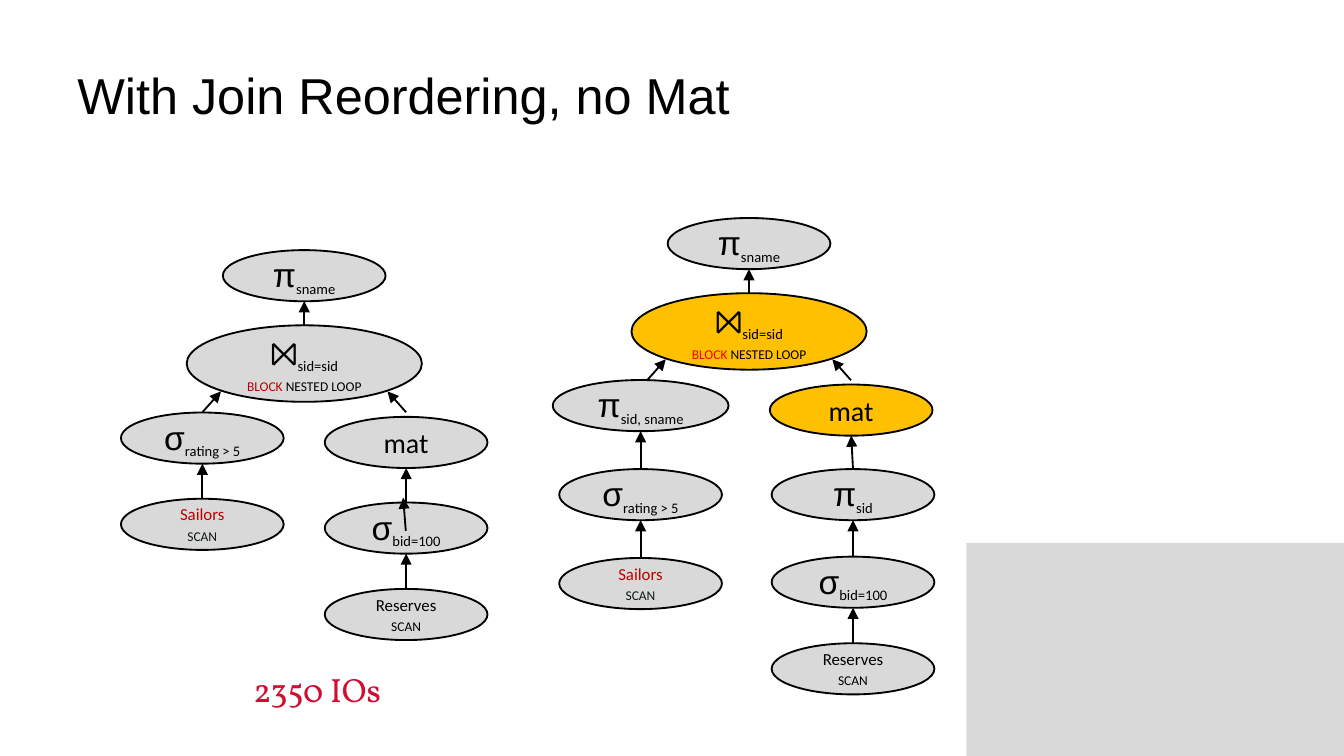
from dataclasses import dataclass
from typing import NamedTuple, Optional

from lxml.etree import SubElement
from pptx import Presentation
from pptx.dml.color import RGBColor as RGB
from pptx.enum.shapes import MSO_CONNECTOR as LINK, MSO_SHAPE as FORM
from pptx.enum.text import MSO_ANCHOR as ANCHOR, PP_ALIGN as ALIGN
from pptx.oxml.ns import qn
from pptx.util import Pt


@dataclass(frozen=True)
class Theme:
    ink: str = "000000"
    dark: str = "0E1817"
    gray: str = "D9D9D9"
    gold: str = "FFC000"
    red: str = "C00000"
    hot: str = "FF0000"
    cost: str = "CF0E30"
    sans: str = "Arial"
    body: str = "Calibri"
    serif: str = "Vollkorn"
    head: float = 27
    big: float = 18
    mid: float = 15
    sub: float = 13.5
    small: float = 9


T = Theme()


class Run(NamedTuple):
    text: str
    size: float
    face: str = T.body
    color: str = T.ink
    base: int = 0
    caps: bool = False


BREAK = Run("\n", T.small)
Paras = list[list[Run]]


@dataclass(frozen=True)
class Node:
    """An operator: centre x and top y, with the index of the node it feeds."""
    x: float
    y: float
    paras: Paras
    up: Optional[int] = None
    fill: str = T.gray
    wide: float = 87.2
    high: float = 27.4


def sign(mark: str, note: str) -> list[Run]:
    return [Run(mark, T.big, T.sans), Run(note, T.sub, base=-25000)]


def op(mark: str, note: str) -> Paras:
    return [sign(mark, note)]


def scan(name: str, color: str = T.ink, tint: str = T.ink) -> Paras:
    return [[Run(name, T.small, color=color)],
            [Run("scan", T.small, color=tint, caps=True)]]


def join(x: float, y: float, color: str, fill: str) -> Node:
    text = sign("⨝", "sid=sid") + [
        BREAK,
        Run("block", T.small, color=color, caps=True),
        Run(" nested loop", T.small, caps=True)]
    return Node(x, y, [text], 0, fill, 126, 41)


MAT: Paras = [[Run("mat", T.mid)]]
SAILORS = scan("Sailors", T.red, T.dark)
RESERVES = scan("Reserves")

# In each tree, node 0 is the root and node 1 the join.
TREES = [
    [Node(163, 134, op("π", "sname")),
     join(163, 174.3, T.red, T.gray),
     Node(108.4, 221, op("σ", "rating > 5"), 1),
     Node(108.4, 267.2, SAILORS, 2),
     Node(217.6, 223.3, MAT, 1),
     Node(217.6, 269.2, op("σ", "bid=100"), 4),
     Node(217.6, 315.5, RESERVES, 5)],
    [Node(401.3, 116.8, op("π", "sname")),
     join(401.3, 157.1, T.hot, T.gold),
     Node(343.2, 203.6, op("π", "sid, sname"), 1, wide=94.2),
     Node(343.2, 251.3, op("σ", "rating > 5"), 2),
     Node(343.2, 298.9, SAILORS, 3),
     Node(456, 206, MAT, 1, T.gold),
     Node(457, 251.3, op("π", "sid"), 5),
     Node(457, 298.2, op("σ", "bid=100"), 6),
     Node(457, 344.6, RESERVES, 7)],
]


def style(font, run: Run) -> None:
    font.size = Pt(run.size)
    font.name = run.face
    font.color.rgb = RGB.from_string(run.color)


def write(frame, paras: Paras, align=ALIGN.CENTER) -> None:
    frame.vertical_anchor = ANCHOR.MIDDLE
    for i, runs in enumerate(paras):
        para = frame.add_paragraph() if i else frame.paragraphs[0]
        para.alignment = align
        if len(runs) == 1:
            style(para.font, runs[0])
        for run in runs:
            if run is BREAK:
                para.add_line_break()
                continue
            item = para.add_run()
            item.text = run.text
            if len(runs) > 1:
                style(item.font, run)
            props = item._r.get_or_add_rPr()
            if run.base:
                props.set("baseline", str(run.base))
            if run.caps:
                props.set("cap", "small")


def inset(frame) -> None:
    frame.margin_left = frame.margin_right = Pt(5.4)
    frame.margin_top = frame.margin_bottom = Pt(2.7)


def shape(slide, form, x: float, y: float, wide: float, high: float, fill: str):
    item = slide.shapes.add_shape(form, Pt(x), Pt(y), Pt(wide), Pt(high))
    item.shadow.inherit = False
    item.fill.solid()
    item.fill.fore_color.rgb = RGB.from_string(fill)
    return item


def draw(slide, node: Node) -> None:
    oval = shape(slide, FORM.OVAL, node.x - node.wide / 2, node.y,
                 node.wide, node.high, node.fill)
    oval.line.color.rgb = RGB.from_string(T.ink)
    oval.line.width = Pt(1)
    oval.text_frame.word_wrap = True
    inset(oval.text_frame)
    write(oval.text_frame, node.paras)


def arrow(slide, x1: float, y1: float, x2: float, y2: float) -> None:
    line = slide.shapes.add_connector(
        LINK.STRAIGHT, Pt(x1), Pt(y1), Pt(x2), Pt(y2))
    line.line.color.rgb = RGB.from_string(T.ink)
    line.line.width = Pt(1)
    SubElement(line.line._get_or_add_ln(), qn("a:tailEnd"), type="triangle")
    SubElement(line._element.spPr, qn("a:effectLst"))


def feed(slide, node: Node, goal: Node, slant: bool) -> None:
    """Point from a node to its goal; slanted arrows meet the join's flank."""
    if slant:
        side = 1 if node.x > goal.x else -1
        arrow(slide, goal.x + side * 54.6, goal.y + 46.6,
              goal.x + side * 44.6, goal.y + 35.4)
    else:
        arrow(slide, node.x, node.y, goal.x, goal.y + goal.high)


def main() -> None:
    deck = Presentation()
    deck.slide_width, deck.slide_height = Pt(720), Pt(405)
    slide = deck.slides.add_slide(deck.slide_layouts[5])
    shape(slide, FORM.RECTANGLE, 517.7, 290.9, 202.3, 114.1,
          T.gray).line.fill.background()

    title = slide.shapes.title
    title.left, title.top = Pt(36), Pt(16.8)
    title.width, title.height = Pt(648), Pt(67.5)
    inset(title.text_frame)
    write(title.text_frame, [[Run("With Join Reordering, no Mat", T.head, T.sans)]],
          ALIGN.LEFT)

    for tree in TREES:
        for node in tree:
            draw(slide, node)
        for node in tree[1:]:
            feed(slide, node, tree[node.up], node.up == 1)
    arrow(slide, 217.4, 284.4, 216, 266.6)

    cost = slide.shapes.add_textbox(Pt(113.8), Pt(355.7), Pt(112.3), Pt(27.4))
    cost.text_frame.word_wrap = False
    write(cost.text_frame, [[Run("2350 IOs", T.big, T.serif, T.cost)]])
    deck.save("out.pptx")


if __name__ == "__main__":
    main()
